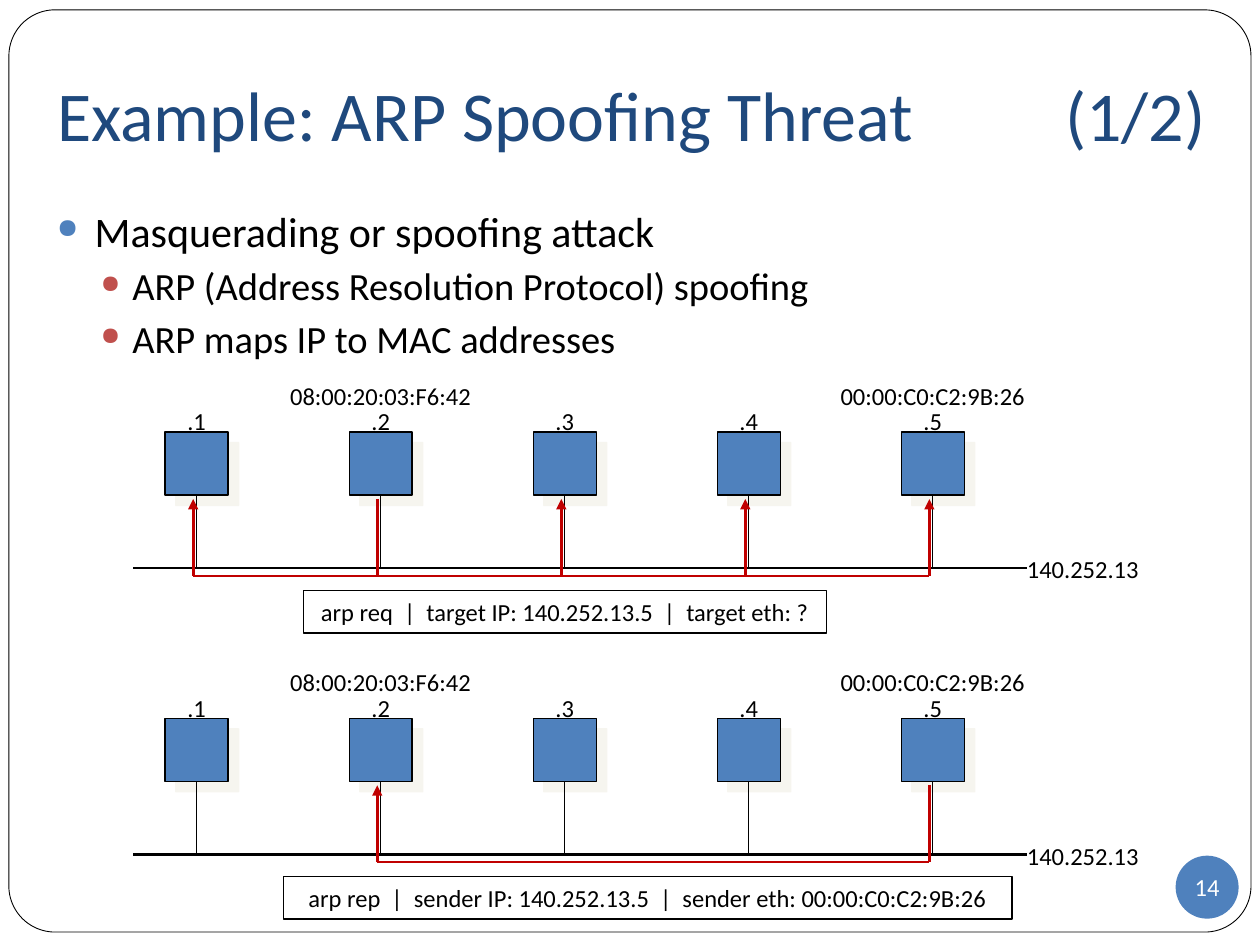
from dataclasses import dataclass

from lxml import etree
from pptx import Presentation
from pptx import util as u
from pptx.dml import color
from pptx.enum import shapes, text
from pptx.oxml import ns


@dataclass(frozen=True)
class Theme:
    font: str = "Calibri"
    title: str = "1F497D"
    accent: str = "4F81BD"
    sub_bullet: str = "C0504D"
    trace: str = "C00000"
    shadow: str = "EEECE1"
    ink: str = "000000"
    paper: str = "FFFFFF"
    title_size: float = 40
    body_size: float = 24
    sub_size: float = 22
    label_size: float = 14
    thin: float = 0.75
    thick: float = 1.5


@dataclass(frozen=True)
class Area:
    left: float
    top: float
    width: float
    height: float

    def lengths(self) -> list[u.Length]:
        return [u.Cm(value) for value in (self.left, self.top, self.width, self.height)]


@dataclass(frozen=True)
class Bullet:
    words: str
    level: int
    size: float
    color: str
    left: float
    hanging: float
    before: float


@dataclass(frozen=True)
class Exchange:
    top: float
    sender: int
    receivers: tuple[int, ...]
    message: str
    message_left: float
    message_width: float


THEME = Theme()
HOST_LEFT, HOST_SIZE, HOST_PITCH, HOST_COUNT = 3.33, 1.27, 3.71, 5
BUS_LEFT, BUS_RIGHT, BUS_DROP = 2.69, 20.7, 2.74
TRACE_SHIFT, TRACE_TOP, TRACE_DROP = -0.07, 1.35, 2.9
LABEL_HEIGHT = 0.86
TAB_STEP = 2.54
MAC_ADDRESSES = {1: "08:00:20:03:F6:42", 4: "00:00:C0:C2:9B:26"}

BULLETS = [
    Bullet("Masquerading or spoofing attack", 0, THEME.body_size, THEME.accent, 0.76, 0.76, 5.8),
    *(
        Bullet(words, 1, THEME.sub_size, THEME.sub_bullet, 1.52, 0.64, 3.7)
        for words in ("ARP (Address Resolution Protocol) spoofing", "ARP maps IP to MAC addresses")
    ),
]
EXCHANGES = [
    Exchange(8.71, 1, (0, 2, 3, 4),
             "arp req  |  target IP: 140.252.13.5  |  target eth: ?", 6.12, 10.54),
    Exchange(14.48, 4, (1,),
             "arp rep  |  sender IP: 140.252.13.5  |  sender eth: 00:00:C0:C2:9B:26", 5.72, 14.68),
]


def rgb(value: str) -> color.RGBColor:
    return color.RGBColor.from_string(value)


def add_xml(parent, tag: str, **attributes):
    values = {name: str(value) for name, value in attributes.items()}
    return etree.SubElement(parent, ns.qn(tag), values)


def format_text(para, size: float, ink: str, align=text.PP_ALIGN.CENTER) -> None:
    para.alignment = align
    for span in para.runs:
        span.font.name = THEME.font
        span.font.size = u.Pt(size)
        span.font.color.rgb = rgb(ink)


def add_label(group, words: str, center: float, top: float, width: float) -> None:
    area = Area(center - width / 2, top, width, LABEL_HEIGHT)
    box = group.shapes.add_textbox(*area.lengths())
    box.text_frame.text = words
    box.text_frame.word_wrap = False
    format_text(box.text_frame.paragraphs[0], THEME.label_size, THEME.ink)


def add_line(group, start: tuple[float, float], end: tuple[float, float],
             ink: str, weight: float, arrow: bool = False) -> None:
    line = group.shapes.add_connector(
        shapes.MSO_CONNECTOR.STRAIGHT, *(u.Cm(value) for value in (*start, *end)))
    line.line.color.rgb = rgb(ink)
    line.line.width = u.Pt(weight)
    if arrow:
        add_xml(line.line._get_or_add_ln(), "a:tailEnd", type="triangle")
    add_xml(line._element.spPr, "a:effectLst")


def add_panel(owner, kind, area: Area, fill: str, weight: float = 0):
    panel = owner.shapes.add_shape(kind, *area.lengths())
    panel.shadow.inherit = False
    panel.fill.solid()
    panel.fill.fore_color.rgb = rgb(fill)
    if weight:
        panel.line.color.rgb = rgb(THEME.ink)
        panel.line.width = u.Pt(weight)
    else:
        panel.line.fill.background()
    return panel


def add_panel_text(panel, words: str, ink: str) -> None:
    frame = panel.text_frame
    frame.text = words
    frame.word_wrap = False
    frame.vertical_anchor = text.MSO_ANCHOR.MIDDLE
    frame.margin_left = frame.margin_right = frame.margin_top = frame.margin_bottom = 0
    format_text(frame.paragraphs[0], THEME.label_size, ink)


def host_center(index: int) -> float:
    return HOST_LEFT + HOST_SIZE / 2 + index * HOST_PITCH


def add_host(group, index: int, top: float) -> None:
    center = host_center(index)
    area = Area(center - HOST_SIZE / 2, top, HOST_SIZE, HOST_SIZE)
    host = add_panel(group, shapes.MSO_SHAPE.RECTANGLE, area, THEME.accent, THEME.thin)
    effects = host._element.spPr.find(ns.qn("a:effectLst"))
    shadow = add_xml(effects, "a:outerShdw", dist=u.Pt(8.5), dir=45 * 60000, algn="ctr", rotWithShape=0)
    add_xml(add_xml(shadow, "a:srgbClr", val=THEME.shadow), "a:alpha", val=50000)
    add_line(group, (center, top + HOST_SIZE), (center, top + BUS_DROP), THEME.ink, THEME.thin)
    add_label(group, f".{index + 1}", center, top - 0.64, 0.89)
    if index in MAC_ADDRESSES:
        add_label(group, MAC_ADDRESSES[index], center, top - 1.16, 4.6)


def add_network(page, top: float) -> None:
    group = page.shapes.add_group_shape()
    bus = top + BUS_DROP
    add_line(group, (BUS_LEFT, bus), (BUS_RIGHT, bus), THEME.ink, THEME.thick)
    for index in range(HOST_COUNT):
        add_host(group, index, top)
    add_label(group, "140.252.13", 21.83, top + 2.34, 2.9)


def add_trace(page, exchange: Exchange) -> None:
    group = page.shapes.add_group_shape()
    start, bottom = exchange.top + TRACE_TOP, exchange.top + TRACE_DROP
    columns = {index: host_center(index) + TRACE_SHIFT
               for index in (exchange.sender, *exchange.receivers)}
    add_line(group, (min(columns.values()), bottom), (max(columns.values()), bottom),
             THEME.trace, THEME.thick)
    for index, column in columns.items():
        add_line(group, (column, bottom), (column, start), THEME.trace, THEME.thick,
                 arrow=index in exchange.receivers)


def add_exchange(page, exchange: Exchange) -> None:
    add_network(page, exchange.top)
    add_trace(page, exchange)
    area = Area(exchange.message_left, exchange.top + 3.19, exchange.message_width, LABEL_HEIGHT)
    message = add_panel(page, shapes.MSO_SHAPE.RECTANGLE, area, THEME.paper, THEME.thin)
    add_panel_text(message, exchange.message, THEME.ink)


def add_frame(page) -> None:
    frame = add_panel(page, shapes.MSO_SHAPE.ROUNDED_RECTANGLE,
                      Area(0.18, 0.2, 25.04, 18.59), THEME.paper, 0.5)
    frame.adjustments[0] = 0.05
    page.shapes._spTree.insert(2, frame._element)


def set_title(page, words: str) -> None:
    title = page.shapes.title
    title.left, title.top, title.width, title.height = Area(0.9, 0.76, 23.8, 3.18).lengths()
    frame = title.text_frame
    frame.text = words
    frame.auto_size = text.MSO_AUTO_SIZE.NONE
    frame.vertical_anchor = text.MSO_ANCHOR.MIDDLE
    frame.margin_bottom = u.Cm(0.25)
    para = frame.paragraphs[0]
    format_text(para, THEME.title_size, THEME.title, text.PP_ALIGN.LEFT)
    tabs = add_xml(para._p.get_or_add_pPr(), "a:tabLst")
    for step in range(1, 9):
        add_xml(tabs, "a:tab", pos=u.Cm(step * TAB_STEP), algn="l")


def add_bullets(page, bullets: list[Bullet]) -> None:
    frame = page.shapes.add_textbox(*Area(0.9, 4.01, 23.8, 3.5).lengths()).text_frame
    frame.word_wrap = True
    frame.text = "\n".join(bullet.words for bullet in bullets)
    for para, bullet in zip(frame.paragraphs, bullets):
        para.level = bullet.level
        para.space_before = u.Pt(bullet.before)
        format_text(para, bullet.size, THEME.ink, text.PP_ALIGN.LEFT)
        settings = para._p.get_or_add_pPr()
        settings.set("marL", str(u.Cm(bullet.left)))
        settings.set("indent", str(-u.Cm(bullet.hanging)))
        add_xml(add_xml(settings, "a:buClr"), "a:srgbClr", val=bullet.color)
        add_xml(settings, "a:buSzPct", val=65000)
        add_xml(settings, "a:buChar", char="●")


def main() -> None:
    deck = Presentation()
    deck.slide_width, deck.slide_height = u.Cm(25.4), u.Cm(19.05)
    page = deck.slides.add_slide(deck.slide_layouts.get_by_name("Title Only"))
    add_frame(page)
    set_title(page, "Example: ARP Spoofing Threat \t\t(1/2)")
    add_bullets(page, BULLETS)
    number = add_panel(page, shapes.MSO_SHAPE.OVAL, Area(23.7, 17.25, 1.27, 1.27), THEME.accent)
    add_panel_text(number, "14", THEME.paper)
    for exchange in EXCHANGES:
        add_exchange(page, exchange)
    deck.save("out.pptx")


if __name__ == "__main__":
    main()
